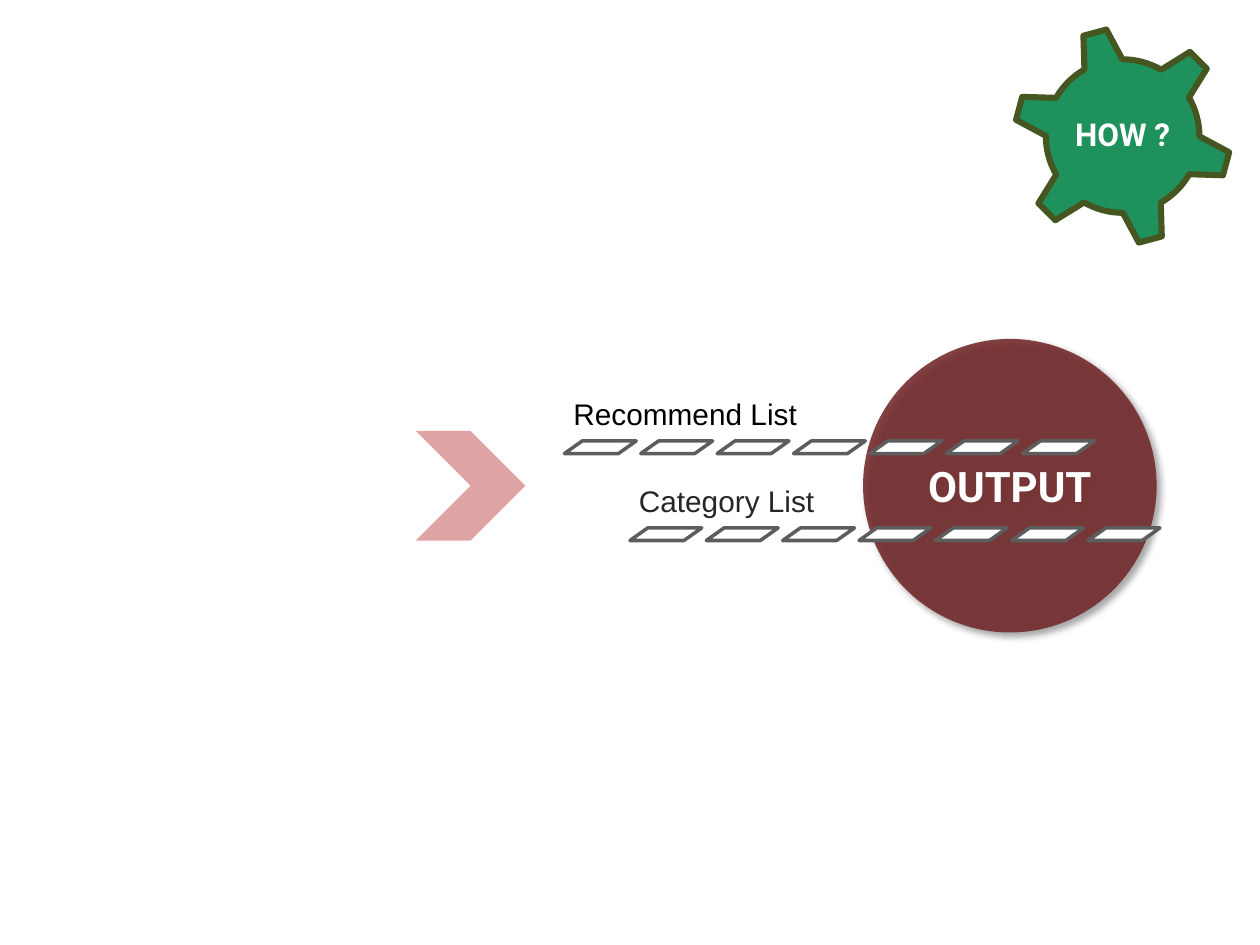
from dataclasses import dataclass

from lxml import etree
from pptx import Presentation
from pptx.dml.color import RGBColor
from pptx.enum.shapes import MSO_SHAPE
from pptx.enum.text import MSO_ANCHOR, PP_ALIGN
from pptx.oxml import parse_xml
from pptx.oxml.ns import nsdecls, qn
from pptx.util import Inches, Pt

ELLIPSE, CHEVRON = MSO_SHAPE.OVAL, MSO_SHAPE.CHEVRON
PARALLELOGRAM, GEAR = MSO_SHAPE.PARALLELOGRAM, MSO_SHAPE.GEAR_6
MIDDLE, BOTTOM = MSO_ANCHOR.MIDDLE, MSO_ANCHOR.BOTTOM
LEFT, CENTER = PP_ALIGN.LEFT, PP_ALIGN.CENTER


@dataclass(frozen=True)
class Theme:
    output: str = "712627"
    chevron: str = "E0A3A3"
    bar: str = "FFFFFF"
    bar_line: str = "5D5D5D"
    gear: str = "1F915D"
    gear_line: str = "465621"
    light: str = "FFFFFF"
    black: str = "000000"
    dark: str = "262626"
    display: str = "Roboto"
    body: str = "Arial"
    output_size: int = 24
    gear_size: int = 18
    list_size: int = 17


T = Theme()


def add_shape(parent, kind, x, y, w, h, fill, line=None, line_width=0):
    sp = parent.shapes.add_shape(kind, Inches(x), Inches(y), Inches(w), Inches(h))
    sp.shadow.inherit = False
    sp.fill.solid()
    sp.fill.fore_color.rgb = RGBColor.from_string(fill)
    if line:
        sp.line.color.rgb = RGBColor.from_string(line)
        sp.line.width = Pt(line_width)
    else:
        sp.line.fill.background()
    return sp


def set_text(sp, text, font, size, color, align, anchor, inset, bold=False, spacing=1.0):
    tf = sp.text_frame
    tf.word_wrap = True
    tf.vertical_anchor = anchor
    tf.margin_left = tf.margin_right = tf.margin_top = tf.margin_bottom = Inches(inset)
    p = tf.paragraphs[0]
    p.alignment = align
    p.line_spacing = spacing
    r = p.add_run()
    r.text = text
    r.font.name = font
    r.font.size = Pt(size)
    r.font.bold = bold
    r.font.color.rgb = RGBColor.from_string(color)


prs = Presentation()
prs.slide_width, prs.slide_height = Inches(10), Inches(7.5)
s = prs.slides.add_slide(prs.slide_layouts[6])

# Output circle: slightly transparent, with a soft shadow
circle = add_shape(s, ELLIPSE, 6.85, 2.69, 2.33, 2.33, T.output)
set_text(circle, "OUTPUT", T.display, T.output_size, T.light, CENTER, MIDDLE, 0.1, bold=True)
spPr = circle._element.spPr
color = spPr.find(qn("a:solidFill")).find(qn("a:srgbClr"))
etree.SubElement(color, qn("a:alpha"), val="87000")
spPr.find(qn("a:effectLst")).append(parse_xml(
    f'<a:outerShdw {nsdecls("a")} blurRad="{Pt(4)}" dist="{Pt(3)}" dir="2700000" '
    'algn="tl" rotWithShape="0"><a:srgbClr val="000000"><a:alpha val="40000"/>'
    '</a:srgbClr></a:outerShdw>'))

# Chevron pointing to the lists
add_shape(s, CHEVRON, 3.3, 3.42, 0.87, 0.87, T.chevron)

# Lists: a label above a row of slanted bars
BARS, BAR_STEP, LABEL_H = 7, 0.606, 0.39
lists = [
    ("Recommend List", 4.48, 3.11, T.black),
    ("Category List", 5.0, 3.8, T.dark),
]
for label, x, y, text_color in lists:
    group = s.shapes.add_group_shape()
    box = group.shapes.add_textbox(Inches(x), Inches(y), Inches(4.29), Inches(LABEL_H))
    set_text(box, label, T.body, T.list_size, text_color, LEFT, BOTTOM, 0.07, spacing=0.9)
    for i in range(BARS):
        bar = add_shape(group, PARALLELOGRAM, x + i * BAR_STEP, y + LABEL_H, 0.57, 0.1,
                        T.bar, T.bar_line, 2)
        bar.adjustments[0] = 1.41

# Gear with its question
group = s.shapes.add_group_shape()
gear = add_shape(group, GEAR, 8.04, 0.21, 1.74, 1.74, T.gear, T.gear_line, 3.5)
gear.rotation = 345
box = group.shapes.add_textbox(Inches(8.42), Inches(0.59), Inches(0.98), Inches(0.98))
set_text(box, "HOW ?", T.display, T.gear_size, T.light, CENTER, MIDDLE, 0.04,
         bold=True, spacing=0.9)

prs.save("out.pptx")
